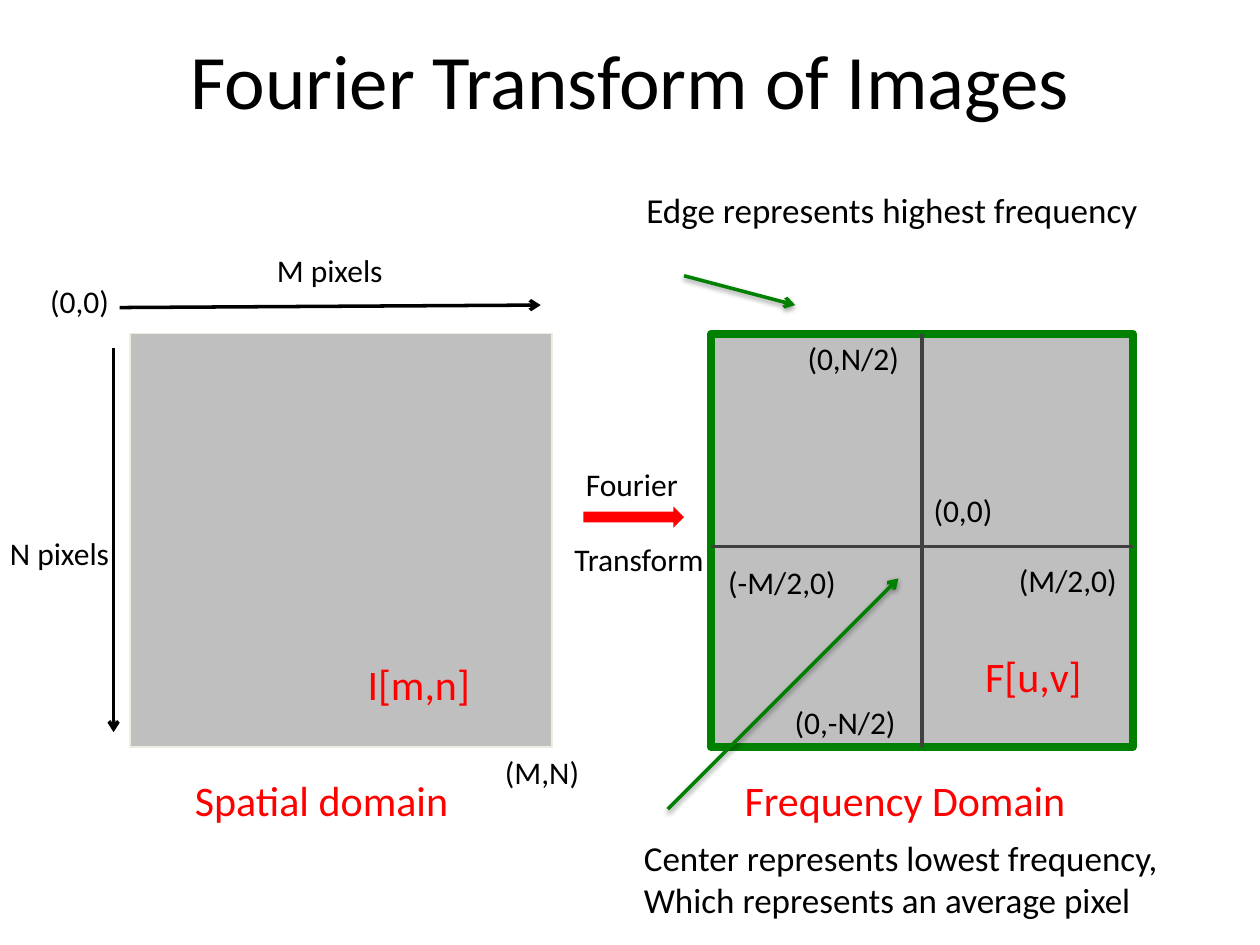
from dataclasses import dataclass

from lxml import etree
from pptx import Presentation
from pptx.dml.color import RGBColor
from pptx.enum.shapes import MSO_CONNECTOR, MSO_SHAPE
from pptx.enum.text import MSO_ANCHOR, PP_ALIGN
from pptx.oxml.ns import qn
from pptx.util import Cm, Pt

STRAIGHT = MSO_CONNECTOR.STRAIGHT
RECT = MSO_SHAPE.RECTANGLE
RIGHT_ARROW = MSO_SHAPE.RIGHT_ARROW
MIDDLE = MSO_ANCHOR.MIDDLE
TOP = MSO_ANCHOR.TOP
CENTER = PP_ALIGN.CENTER
LEFT = PP_ALIGN.LEFT
TOP_SIDE, BOTTOM_SIDE = 0, 2


@dataclass(frozen=True)
class Theme:
    """Colours, font and type sizes of the slide."""
    font: str = "Calibri"
    black: RGBColor = RGBColor(0, 0, 0)
    red: RGBColor = RGBColor(0xFF, 0, 0)
    green: RGBColor = RGBColor(0, 0x80, 0)
    gray: RGBColor = RGBColor(0xBF, 0xBF, 0xBF)
    axis: RGBColor = RGBColor(0x40, 0x40, 0x40)
    cream: RGBColor = RGBColor(0xEE, 0xEC, 0xE1)
    title: int = 44
    domain: int = 24
    note: int = 20
    label: int = 18


THEME = Theme()


def add_text(slide, lines, x, y, w, h, size, color=THEME.black, align=LEFT, anchor=TOP):
    """Add a text box with one paragraph per line."""
    tf = slide.shapes.add_textbox(Cm(x), Cm(y), Cm(w), Cm(h)).text_frame
    tf.word_wrap = True
    tf.vertical_anchor = anchor
    tf.text = lines
    for p in tf.paragraphs:
        p.alignment = align
        p.font.name = THEME.font
        p.font.size = Pt(size)
        p.font.color.rgb = color


def add_block(slide, kind, x, y, w, h, fill, line=None, width=0):
    """Add a filled preset shape, outlined when a line colour is given."""
    sp = slide.shapes.add_shape(kind, Cm(x), Cm(y), Cm(w), Cm(h))
    sp.shadow.inherit = False
    sp.fill.solid()
    sp.fill.fore_color.rgb = fill
    if line is None:
        sp.line.fill.background()
    else:
        sp.line.color.rgb = line
        sp.line.width = Pt(width)
    return sp


def add_line(slide, x1, y1, x2, y2, color, arrow=False, shadow=False):
    """Add a straight line with an optional arrowhead and soft shadow."""
    cxn = slide.shapes.add_connector(STRAIGHT, Cm(x1), Cm(y1), Cm(x2), Cm(y2))
    cxn.line.color.rgb = color
    cxn.line.width = Pt(2)
    if arrow:
        etree.SubElement(cxn.line._get_or_add_ln(), qn("a:tailEnd"), type="arrow")
    effects = etree.SubElement(cxn._element.spPr, qn("a:effectLst"))
    if shadow:
        outer = etree.SubElement(effects, qn("a:outerShdw"), blurRad=str(Pt(3.1)),
                                 dist=str(Pt(1.6)), dir="5400000", rotWithShape="0")
        tint = etree.SubElement(outer, qn("a:srgbClr"), val=str(THEME.black))
        etree.SubElement(tint, qn("a:alpha"), val="38000")
    return cxn


def add_domains(slide):
    """Draw the two image squares, the axes and the arrows between and beside them."""
    top, w, h = 6.73, 8.51, 8.33
    spatial, frequency = 2.62, 14.33
    add_block(slide, RECT, spatial, top, w, h, THEME.gray, THEME.cream, 0.75)
    square = add_block(slide, RECT, frequency, top, w, h, THEME.gray, THEME.green, 4.5)
    add_line(slide, 2.41, 6.2, 10.9, 6.15, THEME.black, arrow=True)
    add_line(slide, 2.29, 7.01, 2.29, 14.76, THEME.black, arrow=True)
    add_block(slide, RIGHT_ARROW, 11.76, 10.21, 2.03, 0.43, THEME.red)
    add_line(slide, frequency, 11.02, frequency + w, 11.02, THEME.axis)
    mid = frequency + w / 2
    axis = add_line(slide, mid, top, mid, top + h, THEME.axis)
    axis.begin_connect(square, TOP_SIDE)
    axis.end_connect(square, BOTTOM_SIDE)


def add_labels(slide):
    """Write the coordinate labels and the red domain names."""
    for text, x, y, w in (
        ("(0,0)", 0.76, 5.56, 2.41),
        ("M pixels", 5.33, 4.93, 3.1),
        ("N pixels", -0.05, 10.64, 4.45),
        ("(M,N)", 9.93, 15.06, 2.84),
        ("(0,0)", 18.57, 9.78, 2.29),
        ("(0,N/2)", 16.03, 6.71, 2.79),
        ("(0,-N/2)", 15.77, 14.05, 2.79),
        ("(-M/2,0)", 14.43, 11.23, 3.2),
        ("(M/2,0)", 20.29, 11.18, 3.2),
        ("Fourier", 11.56, 9.25, 2.57),
        ("Transform", 11.33, 10.77, 3.48),
    ):
        add_text(slide, text, x, y, w, 1.02, THEME.label)
    for text, x, y, w in (
        ("Spatial domain", 3.68, 15.49, 7.16),
        ("Frequency Domain", 14.76, 15.49, 7.16),
        ("I[m,n]", 7.16, 13.16, 4.6),
        ("F[u,v]", 19.61, 12.98, 4.6),
    ):
        add_text(slide, text, x, y, w, 1.27, THEME.domain, THEME.red)


def add_notes(slide):
    """Add the two remarks on frequency with their green arrows."""
    add_line(slide, 13.79, 5.56, 16.03, 6.15, THEME.green, arrow=True, shadow=True)
    add_text(slide, "Edge represents highest frequency", 12.78, 3.68, 10.74, 1.12, THEME.note)
    add_line(slide, 13.46, 16.31, 18.11, 11.66, THEME.green, arrow=True, shadow=True)
    add_text(slide, "Center represents lowest frequency,\nWhich represents an average pixel",
             12.73, 16.74, 12.62, 1.96, THEME.note)


def main():
    """Build the slide and save it."""
    prs = Presentation()
    prs.slide_width, prs.slide_height = Cm(25.4), Cm(19.05)
    slide = prs.slides.add_slide(prs.slide_layouts[6])
    add_text(slide, "Fourier Transform of Images", 1.27, 0, 22.86, 3.18,
             THEME.title, align=CENTER, anchor=MIDDLE)
    add_domains(slide)
    add_labels(slide)
    add_notes(slide)
    prs.save("out.pptx")


if __name__ == "__main__":
    main()
